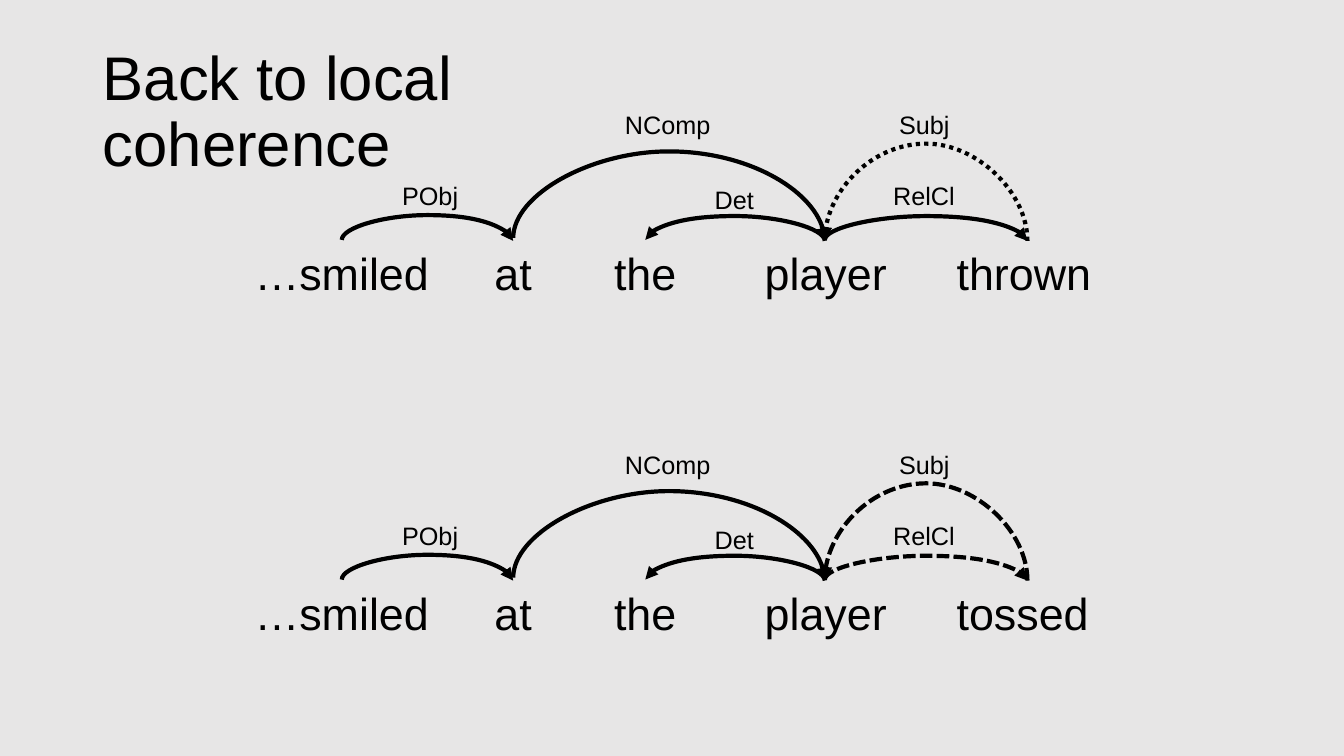
from lxml import etree
from pptx import Presentation
from pptx.dml.color import RGBColor
from pptx.enum.dml import MSO_LINE
from pptx.enum.shapes import MSO_CONNECTOR
from pptx.enum.text import MSO_ANCHOR, PP_ALIGN
from pptx.oxml.ns import qn
from pptx.util import Inches, Pt

SOLID, DASHED, DOTTED = None, MSO_LINE.SQUARE_DOT, MSO_LINE.ROUND_DOT
DASHES = {DASHED: "sysDash", DOTTED: "sysDot"}
CENTER, LEFT = PP_ALIGN.CENTER, PP_ALIGN.LEFT
COLORS = {"ink": "000000", "background": "E7E6E6"}
FONT = "Arial"
TITLE_LINES = ["Back to local", "coherence"]

# Vertical positions are measured from the baseline of the arcs.
FIRST_BASELINE, ROW_STEP = 2.39, 3.37
WORD_HEIGHT, LABEL_HEIGHT = 0.64, 0.4

# (text, left, width, alignment)
WORDS = [
    ("…smiled", 2.42, 1.94, CENTER),
    ("at", 4.56, 1.06, CENTER),
    ("the", 5.87, 1.06, CENTER),
    ("player", 7.48, 1.42, CENTER),
]
LAST_WORD = (9.39, 1.6, LEFT)
# (label, left, width, rise above baseline)
LABELS = [
    ("PObj", 3.89, 0.8, 0.65),
    ("Det", 6.99, 0.65, 0.61),
    ("NComp", 6.1, 1.1, 1.35),
    ("RelCl", 8.76, 0.88, 0.65),
    ("Subj", 8.82, 0.74, 1.35),
]
SMILED, AT, THE, PLAYER, LAST = 3.39, 5.09, 6.4, 8.18, 10.19
# (from, to, rise, height difference between the ends)
FIXED_ARCS = [
    (SMILED, AT, 0.25, 0.01),
    (PLAYER, THE, 0.25, 0.01),
    (AT, PLAYER, 0.86, 0.03),
]
RELCL_ARC = (PLAYER, LAST, 0.24, 0.01)
SUBJ_ARC = (LAST, PLAYER, 0.98, 0.01)
# (last word, dash of RelCl, dash of Subj)
SENTENCES = [("thrown", SOLID, DOTTED), ("tossed", DASHED, DASHED)]


def color(name):
    return RGBColor.from_string(COLORS[name])


def format_run(run, size):
    run.font.name = FONT
    run.font.size = Pt(size)
    run.font.color.rgb = color("ink")


def add_text(slide, text, left, top, width, height, size, alignment):
    box = slide.shapes.add_textbox(Inches(left), Inches(top), Inches(width), Inches(height))
    box.text_frame.word_wrap = True
    paragraph = box.text_frame.paragraphs[0]
    paragraph.alignment = alignment
    run = paragraph.add_run()
    run.text = text
    format_run(run, size)


def add_arc(slide, baseline, start, end, rise, drop, dash=SOLID):
    """Draw a curved arrow: a thin connector turned by 270 degrees, bulging upwards."""
    span = abs(end - start)
    left = (start + end - drop) / 2
    top = baseline - (drop + span) / 2
    connector = slide.shapes.add_connector(
        MSO_CONNECTOR.CURVE, Inches(left), Inches(top), Inches(left + drop), Inches(top + span))
    connector.line.color.rgb = color("ink")
    connector.line.width = Pt(3)
    if dash is not SOLID:
        connector.line.dash_style = dash

    rightward = end > start
    properties = connector._element.spPr
    transform = properties.find(qn("a:xfrm"))
    transform.set("rot", str(270 * 60000))
    transform.set("flipH" if rightward else "flipV", "1")
    bulge = round((-rise if rightward else rise) / drop * 100000)
    geometry = properties.find(qn("a:prstGeom"))
    adjustments = geometry.find(qn("a:avLst"))
    if adjustments is None:
        adjustments = etree.SubElement(geometry, qn("a:avLst"))
    etree.SubElement(adjustments, qn("a:gd"), name="adj1", fmla=f"val {bulge}")

    line = properties.find(qn("a:ln"))
    if dash is not SOLID:
        line.find(qn("a:prstDash")).set("val", DASHES[dash])
    etree.SubElement(line, qn("a:tailEnd"), type="triangle")
    etree.SubElement(properties, qn("a:effectLst"))


def add_sentence(slide, baseline, last_word, relcl_dash, subj_dash):
    for text, left, width, alignment in WORDS + [(last_word, *LAST_WORD)]:
        add_text(slide, text, left, baseline, width, WORD_HEIGHT, 32, alignment)
    for arc in FIXED_ARCS:
        add_arc(slide, baseline, *arc)
    add_arc(slide, baseline, *RELCL_ARC, relcl_dash)
    add_arc(slide, baseline, *SUBJ_ARC, subj_dash)
    for text, left, width, rise in LABELS:
        add_text(slide, text, left, baseline - rise, width, LABEL_HEIGHT, 18, LEFT)


def add_title(slide):
    title = slide.shapes.title
    title.left, title.top = Inches(0.92), Inches(0.4)
    title.width, title.height = Inches(11.5), Inches(1.45)
    title.text_frame.vertical_anchor = MSO_ANCHOR.MIDDLE
    paragraph = title.text_frame.paragraphs[0]
    paragraph.alignment = LEFT
    paragraph.line_spacing = 0.9
    for index, text in enumerate(TITLE_LINES):
        if index:
            paragraph.add_line_break()
        run = paragraph.add_run()
        run.text = text
        format_run(run, 44)


def main():
    presentation = Presentation()
    presentation.slide_width, presentation.slide_height = Inches(13.33), Inches(7.5)
    slide = presentation.slides.add_slide(presentation.slide_layouts[5])
    slide.background.fill.solid()
    slide.background.fill.fore_color.rgb = color("background")
    add_title(slide)
    for row, sentence in enumerate(SENTENCES):
        add_sentence(slide, FIRST_BASELINE + row * ROW_STEP, *sentence)
    presentation.save("out.pptx")


if __name__ == "__main__":
    main()
